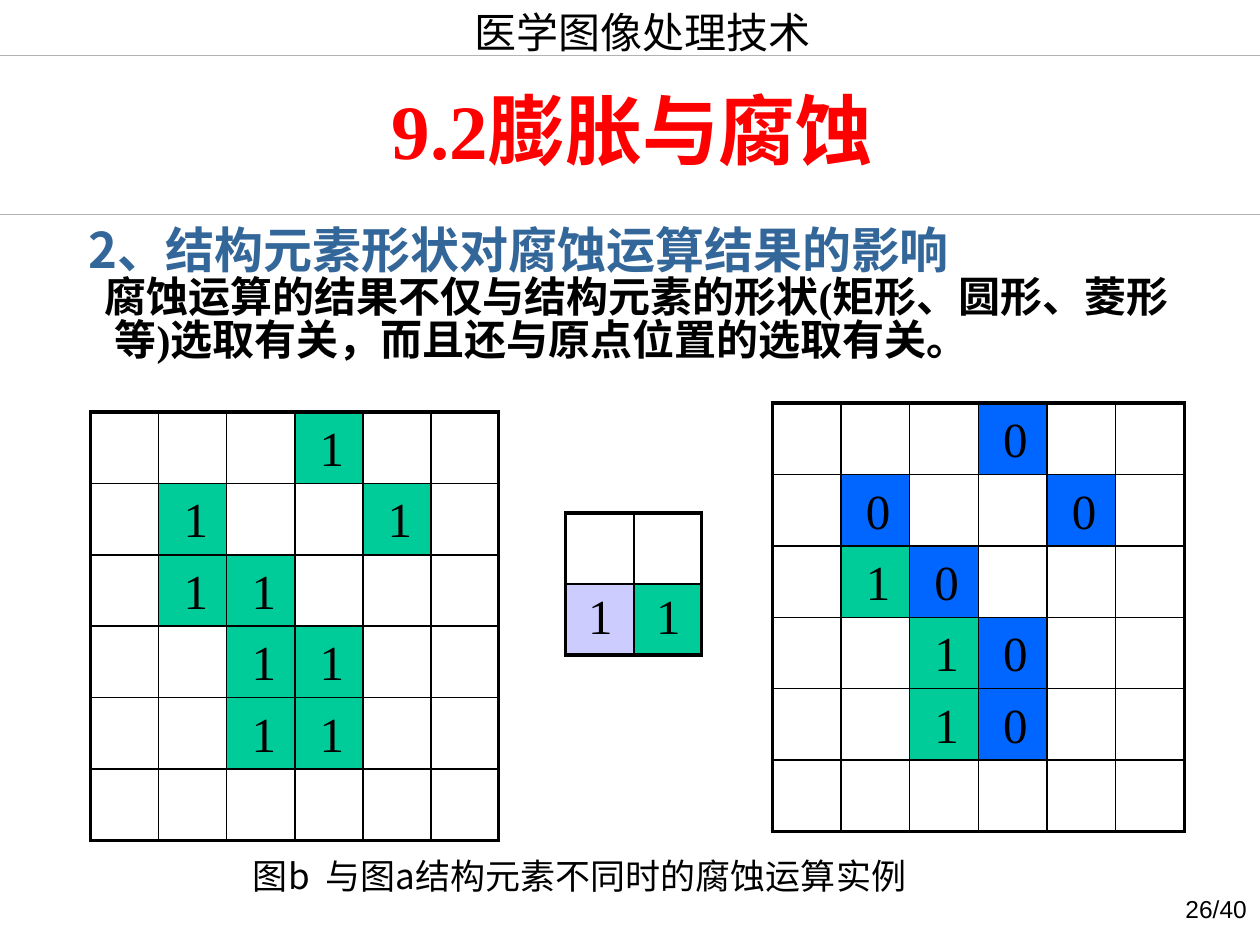
from pptx import Presentation
from pptx import util as u
from pptx.dml.color import RGBColor
from pptx.enum import shapes, text
from pptx.oxml import parse_xml
from pptx.oxml.ns import nsdecls

BLACK = RGBColor(0, 0, 0)
WHITE = RGBColor(0xFF, 0xFF, 0xFF)
RED = RGBColor(0xFF, 0, 0)
BLUE = RGBColor(0, 0x66, 0xFF)
STEEL = RGBColor(0x33, 0x66, 0x99)
GREEN = RGBColor(0, 0xCC, 0x99)
LAVENDER = RGBColor(0xCC, 0xCC, 0xFF)
GRAY = RGBColor(0xB2, 0xB2, 0xB2)
SERIF, CJK = "Times New Roman", "Noto Sans CJK SC"

MARKS = {"1": ("1", GREEN), "0": ("0", BLUE), "*": ("1", LAVENDER), ".": ("", WHITE)}
SOURCE = ["...1..", ".1..1.", ".11...", "..11..", "..11..", "......"]
ELEMENT = ["..", "*1"]
ERODED = ["...0..", ".0..0.", ".10...", "..10..", "..10..", "......"]


def add_text(p, words, size=24, font=SERIF, color=BLACK, bold=False, align=None,
             left=0, indent=0, spacing=None):
    r = p.add_run()
    r.text = words
    r.font.size, r.font.name, r.font.bold = u.Pt(size), font, bold
    r.font.color.rgb = color
    r._r.get_or_add_rPr().append(parse_xml(f'<a:ea {nsdecls("a")} typeface="{CJK}"/>'))
    p.alignment = align
    p.space_before = u.Pt(0)
    p.line_spacing = spacing
    pPr = p._p.get_or_add_pPr()
    pPr.set("marL", str(u.Inches(left)))
    pPr.set("indent", str(u.Inches(indent)))
    pPr.append(parse_xml(f'<a:buNone {nsdecls("a")}/>'))
    return r


def place(sp, x, y, w, h, anchor=text.MSO_ANCHOR.TOP):
    sp.left, sp.top, sp.width, sp.height = map(u.Inches, (x, y, w, h))
    tf = sp.text_frame
    tf.word_wrap = True
    tf.auto_size = text.MSO_AUTO_SIZE.NONE
    tf.vertical_anchor = anchor
    return tf


def add_label(s, words, x, y, w, h, **fmt):
    tf = place(s.shapes.add_textbox(0, 0, 0, 0), x, y, w, h)
    return add_text(tf.paragraphs[0], words, **fmt)


def add_rule(s, x, y, w):
    c = s.shapes.add_connector(shapes.MSO_CONNECTOR.STRAIGHT, u.Inches(x + w), u.Inches(y),
                               u.Inches(x), u.Inches(y))
    c.line.color.rgb = GRAY
    c.line.width = u.Pt(0.25)
    c._element.spPr.append(parse_xml(f'<a:effectLst {nsdecls("a")}/>'))


def add_header(s, x, y, w):
    r = add_label(s, "医学图像处理技术", x + 3.43, y, 3.82, 0.5, font="DejaVu Sans", left=0.24)
    r.font.fill._xPr.find("{*}solidFill").addnext(parse_xml(
        f'<a:effectLst {nsdecls("a")}><a:outerShdw dist="38100" dir="2700000">'
        '<a:srgbClr val="C0C0C0"/></a:outerShdw></a:effectLst>'))
    for dy in (0.44, 1.7):
        add_rule(s, x, y + dy, w)


def add_title(s, x, y, w, h):
    tf = place(s.shapes.title, x, y, w, h, text.MSO_ANCHOR.MIDDLE)
    add_text(tf.paragraphs[0], "9.2膨胀与腐蚀", size=44, color=RED, bold=True,
             align=text.PP_ALIGN.CENTER)


def add_body(s, x, y, w, h):
    tf = place(s.placeholders[1], x, y, w, h)
    add_text(tf.paragraphs[0], "2、结构元素形状对腐蚀运算结果的影响", size=28, font=CJK,
             color=STEEL, bold=True, left=0.17, spacing=0.85)
    add_text(tf.add_paragraph(),
             "腐蚀运算的结果不仅与结构元素的形状(矩形、圆形、菱形等)选取有关，而且还与原点位置的选取有关。",
             bold=True, left=0.38, indent=-0.08, spacing=0.85)


def set_borders(cell, outer):
    tcPr = cell._tc.get_or_add_tcPr()
    for side in "LRTB":
        width = u.Pt(2.25 if side in outer else 1)
        tcPr.append(parse_xml(
            f'<a:ln{side} {nsdecls("a")} w="{width}"><a:solidFill>'
            f'<a:srgbClr val="{BLACK}"/></a:solidFill></a:ln{side}>'))


def add_grid(s, rows, x, y, w, h, anchor=text.MSO_ANCHOR.BOTTOM, inset=0.1):
    n, m = len(rows), len(rows[0])
    tbl = s.shapes.add_table(n, m, u.Inches(x), u.Inches(y), u.Inches(w), u.Inches(h)).table
    tbl.first_row = tbl.horz_banding = False
    for i, row in enumerate(rows):
        for j, mark in enumerate(row):
            edges = {"L": j == 0, "R": j == m - 1, "T": i == 0, "B": i == n - 1}
            cell = tbl.cell(i, j)
            set_borders(cell, [side for side, on in edges.items() if on])
            digit, color = MARKS[mark]
            cell.fill.solid()
            cell.fill.fore_color.rgb = color
            cell.vertical_anchor = anchor
            cell.margin_left = cell.margin_right = u.Inches(inset)
            if digit:
                add_text(cell.text_frame.paragraphs[0], " " + digit, size=28)


def main():
    prs = Presentation()
    prs.slide_width, prs.slide_height = u.Inches(10), u.Inches(7.5)
    s = prs.slides.add_slide(prs.slide_layouts[1])
    add_header(s, 0, 0, 10)
    add_title(s, 0.52, 0.59, 9, 0.87)
    add_body(s, 0.43, 1.76, 9, 1.46)
    add_grid(s, SOURCE, 0.72, 3.27, 3.24, 3.4)
    add_grid(s, ELEMENT, 4.49, 4.07, 1.08, 1.13, text.MSO_ANCHOR.TOP, 0.08)
    add_grid(s, ERODED, 6.13, 3.2, 3.27, 3.4)
    add_label(s, "图b  与图a结构元素不同时的腐蚀运算实例", 1.91, 6.73, 7.17, 0.44, size=20, font=CJK)
    add_label(s, "26/40", 9.31, 7.05, 0.69, 0.34, size=14, font="Arial")
    prs.save("out.pptx")


if __name__ == "__main__":
    main()
